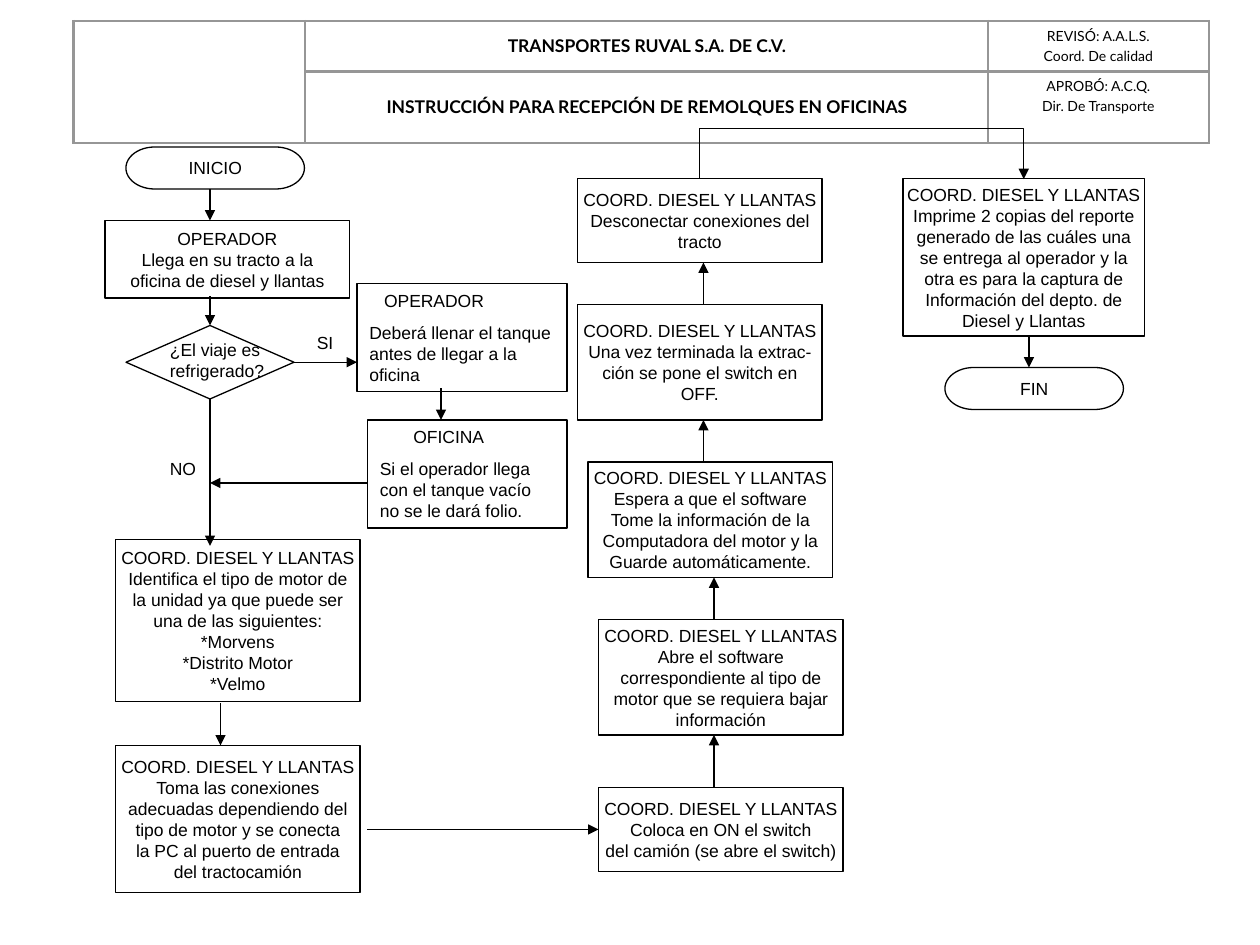
from lxml import etree
from pptx import Presentation
from pptx.dml.color import RGBColor
from pptx.enum.shapes import MSO_CONNECTOR, MSO_SHAPE
from pptx.enum.text import MSO_ANCHOR, PP_ALIGN
from pptx.oxml.ns import qn
from pptx.util import Inches, Pt

RECT, DIAMOND, TERMINATOR = (
    MSO_SHAPE.RECTANGLE, MSO_SHAPE.DIAMOND, MSO_SHAPE.FLOWCHART_TERMINATOR)
STRAIGHT, ELBOW = MSO_CONNECTOR.STRAIGHT, MSO_CONNECTOR.ELBOW
TOP, MIDDLE = MSO_ANCHOR.TOP, MSO_ANCHOR.MIDDLE
LEFT, CENTER = PP_ALIGN.LEFT, PP_ALIGN.CENTER
TOP_SIDE, LEFT_SIDE, BOTTOM_SIDE, RIGHT_SIDE = range(4)

THEME = {
    "ink": RGBColor(0, 0, 0), "paper": RGBColor(255, 255, 255), "border": "969696",
    "line": Pt(0.75), "border_width": Pt(1.47),
    "flow": {"name": "Arial", "size": Pt(10)},
    "heading": {"name": "Lato", "size": Pt(10), "bold": True},
    "approval": {"name": "Lato", "size": Pt(8), "bold": False},
}

prs = Presentation()
prs.slide_width, prs.slide_height = Inches(10), Inches(7.5)
slide = prs.slides.add_slide(prs.slide_layouts[6])
shapes = slide.shapes
UNIT = prs.slide_width // 120  # the grid has 120 columns and 90 rows


def grid(*cells):
    return [round(cell * UNIT) for cell in cells]


def write(frame, lines, font, align=CENTER, gap=0):
    frame.text = "\n".join(lines)
    for index, paragraph in enumerate(frame.paragraphs):
        paragraph.alignment = align
        if index:
            paragraph.space_before = Pt(gap)
        for name, value in font.items():
            setattr(paragraph.font, name, value)
        paragraph.font.color.rgb = THEME["ink"]


# Header table
header = shapes.add_table(2, 3, *grid(7, 2, 108, 11.6)).table
header.first_row = header.horz_banding = False
for column, width in zip(header.columns, (1.84, 5.42, 1.75)):
    column.width = Inches(width)
for row, height in zip(header.rows, (0.4, 0.57)):
    row.height = Inches(height)
header_texts = [
    (0, 1, ["TRANSPORTES RUVAL S.A. DE C.V."]),
    (0, 2, ["REVISÓ: A.A.L.S.", "Coord. De calidad"]),
    (1, 1, ["INSTRUCCIÓN PARA RECEPCIÓN DE REMOLQUES EN OFICINAS"]),
    (1, 2, ["APROBÓ: A.C.Q.", "Dir. De Transporte"]),
]
for row, column, lines in header_texts:
    cell = header.cell(row, column)
    is_heading = column == 1
    cell.vertical_anchor = MIDDLE if is_heading else TOP
    write(cell.text_frame, lines, THEME["heading" if is_heading else "approval"], gap=2)
for cell in header.iter_cells():
    properties = cell._tc.get_or_add_tcPr()
    for side in ("lnL", "lnR", "lnT", "lnB"):
        border = etree.SubElement(properties, qn(f"a:{side}"), w=str(THEME["border_width"]))
        fill = etree.SubElement(border, qn("a:solidFill"))
        etree.SubElement(fill, qn("a:srgbClr"), val=THEME["border"])
    cell.fill.background()
header.cell(0, 0).merge(header.cell(1, 0))

# Steps of the flow: key, outline, left, top, width, height, lines
COORDINATOR = "COORD. DIESEL Y LLANTAS"
STEP = 23.3
steps = [
    ("start", TERMINATOR, 12, 14, 17, 4, ["INICIO"]),
    ("arrival", RECT, 10, 21, STEP, 7.4,
     ["OPERADOR", "Llega en su tracto a la", "oficina de diesel y llantas"]),
    ("engine", RECT, 11, 51.4, STEP, 15.4,
     [COORDINATOR, "Identifica el tipo de motor de", "la unidad ya que puede ser",
      "una de las siguientes:", "*Morvens", "*Distrito Motor", "*Velmo"]),
    ("connect", RECT, 11, 71, STEP, 14,
     [COORDINATOR, "Toma las conexiones", "adecuadas dependiendo del",
      "tipo de motor y se conecta", "la PC al puerto de entrada", "del tractocamión"]),
    ("switch_on", RECT, 57, 75, STEP, 8,
     [COORDINATOR, "Coloca en ON el switch", "del camión (se abre el switch)"]),
    ("software", RECT, 57, 59, STEP, 11,
     [COORDINATOR, "Abre el software", "correspondiente al tipo de",
      "motor que se requiera bajar", "información"]),
    ("capture", RECT, 56, 44, STEP, 11,
     [COORDINATOR, "Espera a que el software", "Tome la información de la",
      "Computadora del motor y la", "Guarde automáticamente."]),
    ("switch_off", RECT, 55, 29, STEP, 11,
     [COORDINATOR, "Una vez terminada la extrac-", "ción se pone el switch en", "OFF."]),
    ("disconnect", RECT, 55, 17, STEP, 8,
     [COORDINATOR, "Desconectar conexiones del", "tracto"]),
    ("report", RECT, 86, 17, 23, 15,
     [COORDINATOR, "Imprime 2 copias del reporte", "generado de las cuáles una",
      "se entrega al operador y la", "otra es para la captura de",
      "Información del depto. de", "Diesel y Llantas"]),
    ("end", TERMINATOR, 90, 35, 17, 4, ["FIN"]),
    ("refrigerated", DIAMOND, 12, 31, 16, 7, []),
    ("fill_tank", RECT, 34, 27, 20, 10.3,
     ["OPERADOR", "Deberá llenar el tanque antes de llegar a la oficina"]),
    ("office", RECT, 35, 40, 19, 10.3,
     ["OFICINA", "Si el operador llega con el tanque vacío no se le dará folio."]),
]
role_indents = {"fill_tank": 1.4, "office": 3.2}
flow = {}
for key, outline, left, top, width, height, lines in steps:
    step = flow[key] = shapes.add_shape(outline, *grid(left, top, width, height))
    step.shadow.inherit = False
    step.line.color.rgb, step.line.width = THEME["ink"], THEME["line"]
    frame = step.text_frame
    if key in role_indents:
        step.fill.background()
        frame.word_wrap, frame.vertical_anchor = True, TOP
        write(frame, lines, THEME["flow"], LEFT, gap=6.2)
        frame.paragraphs[0]._p.get_or_add_pPr().set("marL", str(*grid(role_indents[key])))
    elif lines:
        step.fill.solid()
        step.fill.fore_color.rgb = THEME["paper"]
        frame.word_wrap, frame.vertical_anchor = False, MIDDLE
        write(frame, lines, THEME["flow"])
    else:
        step.fill.background()

# Question and its answers
captions = [
    ("¿El viaje es refrigerado?", 15, 31.7, 14, 5.2),
    ("SI", 29, 31, 4, 3.2),
    ("NO", 15, 43, 5, 3.2),
]
for caption, *place in captions:
    frame = shapes.add_textbox(*grid(*place)).text_frame
    frame.word_wrap = True
    write(frame, [caption], THEME["flow"], LEFT)

# Arrows: kind, start, end, joined start, joined end
arrows = [
    (STRAIGHT, (20, 18), (20, 21), None, None),
    (STRAIGHT, (20, 28.2), (20, 31), None, ("refrigerated", TOP_SIDE)),
    (STRAIGHT, (20, 38), (20, 52), ("refrigerated", BOTTOM_SIDE), None),
    (STRAIGHT, (28, 34.5), (34, 34.5), ("refrigerated", RIGHT_SIDE), None),
    (STRAIGHT, (42, 37), (42, 40), None, None),
    (STRAIGHT, (35, 46), (20, 46), None, None),
    (STRAIGHT, (21, 67), (21, 71), None, None),
    (STRAIGHT, (35, 79), (57, 79), None, ("switch_on", LEFT_SIDE)),
    (STRAIGHT, (68, 75), (68, 70), None, None),
    (STRAIGHT, (68, 59), (68, 55), None, None),
    (STRAIGHT, (67, 44), (67, 40), None, None),
    (STRAIGHT, (67, 29), (67, 25), None, None),
    (STRAIGHT, (98, 32), (98, 35), None, None),
    (ELBOW, (66.6, 17), (97.5, 17), ("disconnect", TOP_SIDE), ("report", TOP_SIDE)),
]
for kind, start, end, joined_start, joined_end in arrows:
    arrow = shapes.add_connector(kind, *grid(*start, *end))
    if joined_start:
        arrow.begin_connect(flow[joined_start[0]], joined_start[1])
    if joined_end:
        arrow.end_connect(flow[joined_end[0]], joined_end[1])
    arrow.line.color.rgb, arrow.line.width = THEME["ink"], THEME["line"]
    properties = arrow._element.spPr
    etree.SubElement(properties.find(qn("a:ln")), qn("a:tailEnd"), type="triangle")
    etree.SubElement(properties, qn("a:effectLst"))
    if kind == ELBOW:
        # A quarter turn makes the elbow rise above both boxes before it comes down
        span, depth, rise = arrow.width, Inches(0.01), Inches(0.4)
        place = {"left": arrow.left + (span - depth) // 2, "top": arrow.top - span // 2,
                 "width": depth, "height": span}
        for name, value in place.items():
            setattr(arrow, name, value)
        turn = properties.find(qn("a:xfrm"))
        turn.set("rot", str(270 * 60000))
        turn.set("flipH", "1")
        geometry = properties.find(qn("a:prstGeom"))
        etree.SubElement(geometry.find(qn("a:avLst")), qn("a:gd"),
                         name="adj1", fmla=f"val {-100000 * rise // depth}")

prs.save("out.pptx")
